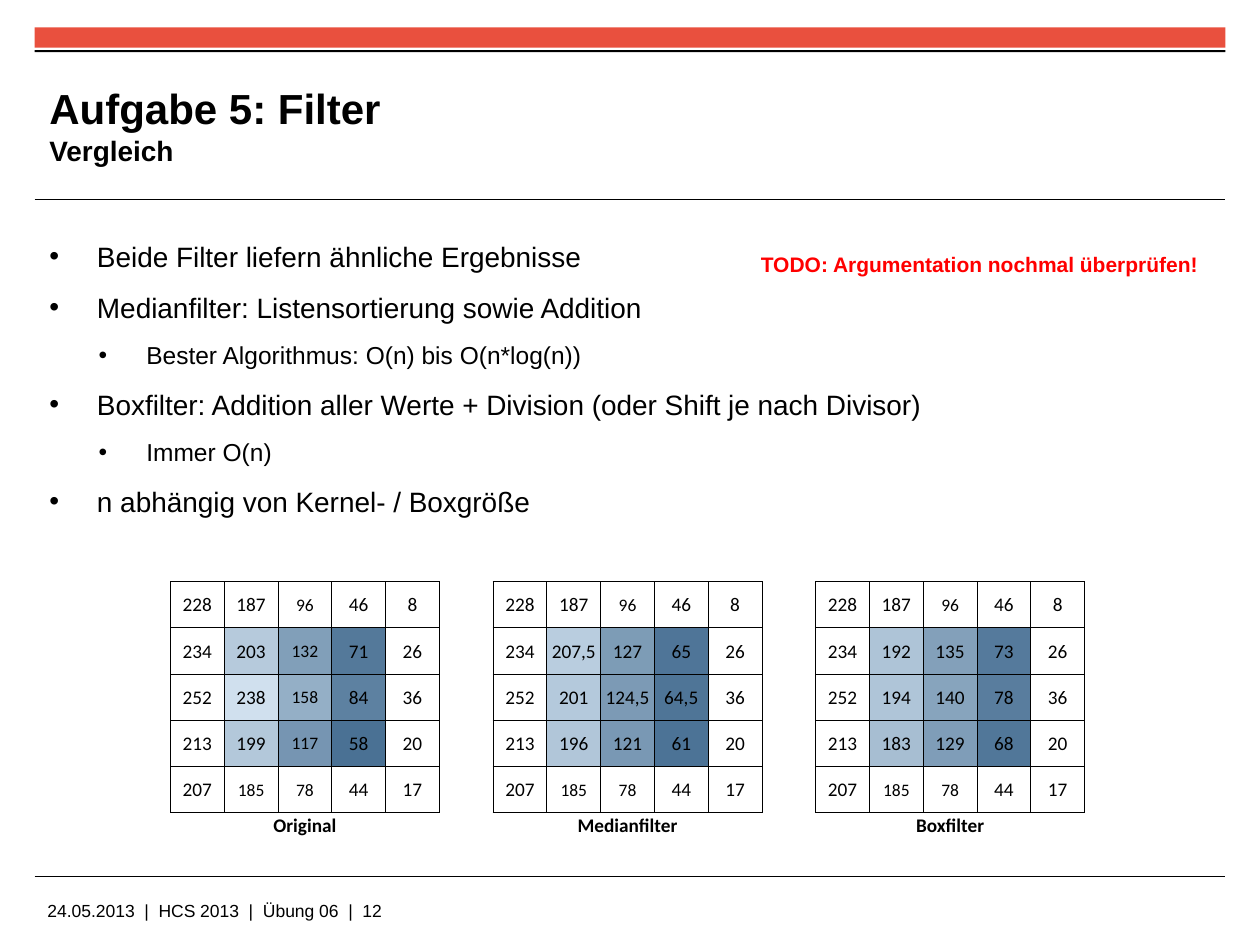
from pptx import Presentation
from pptx.dml.color import RGBColor
from pptx.enum.shapes import MSO_CONNECTOR, MSO_SHAPE
from pptx.enum.text import MSO_ANCHOR, MSO_AUTO_SIZE, PP_ALIGN
from pptx.oxml.ns import qn
from pptx.util import Pt
from lxml import etree

BLACK = RGBColor(0, 0, 0)
RED = RGBColor(0xFF, 0, 0)
CORAL = RGBColor(0xE9, 0x50, 0x3E)
DARK_BLUE = RGBColor(0x4A, 0x71, 0x94)
LIGHT_BLUE = RGBColor(0xD0, 0xE0, 0xEE)
DARK_VALUE, LIGHT_VALUE = 58, 238
MIDDLE = MSO_ANCHOR.MIDDLE
LEFT, CENTER = PP_ALIGN.LEFT, PP_ALIGN.CENTER
STRAIGHT = MSO_CONNECTOR.STRAIGHT
RECTANGLE = MSO_SHAPE.RECTANGLE
NO_AUTOFIT = MSO_AUTO_SIZE.NONE
PLAIN_TABLE = "{2D5ABB26-0587-4C30-8999-92F81FD0307C}"


def style(font, size, color=BLACK, bold=False, name="Arial"):
    font.size = Pt(size)
    font.name = name
    font.bold = bold
    font.color.rgb = color


def add_label(left, top, width, height, text, size, color=BLACK, bold=False):
    box = page.shapes.add_textbox(Pt(left), Pt(top), Pt(width), Pt(height))
    frame = box.text_frame
    frame.word_wrap = True
    frame.vertical_anchor = MIDDLE
    frame.text = text
    style(frame.paragraphs[0].font, size, color, bold)


deck = Presentation()
deck.slide_width, deck.slide_height = Pt(720), Pt(540)
page = deck.slides.add_slide(deck.slide_layouts[1])

for top, height, color in [(15.6, 11.6, CORAL), (28.6, 1.2, BLACK)]:
    bar = page.shapes.add_shape(RECTANGLE, Pt(19.8), Pt(top), Pt(680.4), Pt(height))
    bar.shadow.inherit = False
    bar.fill.solid()
    bar.fill.fore_color.rgb = color
    bar.line.fill.background()

for height in [114.2, 500.6]:
    rule = page.shapes.add_connector(STRAIGHT, Pt(19.8), Pt(height), Pt(700.2), Pt(height))
    rule.line.color.rgb = BLACK
    rule.line.width = Pt(0.6)
    etree.SubElement(rule._element.spPr, qn("a:effectLst"))

add_label(20, 511.5, 567, 18, "24.05.2013  |  HCS 2013  |  Übung 06  |  12", 10)

title = page.shapes.title
title.left, title.top, title.width, title.height = Pt(28.2), Pt(38.2), Pt(522.6), Pt(66.2)
frame = title.text_frame
frame.auto_size = NO_AUTOFIT
frame.vertical_anchor = MIDDLE
frame.margin_left = frame.margin_right = frame.margin_top = frame.margin_bottom = 0
para = frame.paragraphs[0]
para.alignment = LEFT
heading = para.add_run()
heading.text = "Aufgabe 5: Filter"
style(heading.font, 24, bold=True)
para.add_line_break()
subheading = para.add_run()
subheading.text = "Vergleich"
style(subheading.font, 16, bold=True)

bullets = [
    (0, "Beide Filter liefern ähnliche Ergebnisse"),
    (0, "Medianfilter: Listensortierung sowie Addition"),
    (1, "Bester Algorithmus: O(n) bis O(n*log(n))"),
    (0, "Boxfilter: Addition aller Werte + Division (oder Shift je nach Divisor)"),
    (1, "Immer O(n)"),
    (0, "n abhängig von Kernel- / Boxgröße"),
]
body = page.placeholders[1]
body.left, body.top, body.width, body.height = Pt(28.2), Pt(127.4), Pt(666), Pt(188)
frame = body.text_frame
frame.auto_size = NO_AUTOFIT
frame.margin_left = frame.margin_right = 0
frame.text = "\n".join(text for level, text in bullets)
for para, (level, text) in zip(frame.paragraphs, bullets):
    para.level = level
    properties = para._p.get_or_add_pPr()
    properties.set("marL", str(Pt(27.2 + 28.2 * level)))
    properties.set("indent", str(Pt(-27.2)))
    etree.SubElement(properties, qn("a:buChar"), char="•")
    para.line_spacing = 1.3
    para.space_before = Pt(2)
    para.space_after = Pt(2.3)
    style(para.font, 14 if level else 16)

captions = ["Original", "Medianfilter", "Boxfilter"]
border_values = [
    ["228", "187", "96", "46", "8"],
    ["234", "26"],
    ["252", "36"],
    ["213", "20"],
    ["207", "185", "78", "44", "17"],
]
inner_values = [
    [["203", "132", "71"], ["238", "158", "84"], ["199", "117", "58"]],
    [["207,5", "127", "65"], ["201", "124,5", "64,5"], ["196", "121", "61"]],
    [["192", "135", "73"], ["194", "140", "78"], ["183", "129", "68"]],
]

table = page.shapes.add_table(6, 17, Pt(97.4), Pt(332.4), Pt(522.75), Pt(145.7)).table
table.first_row = table.horz_banding = False
table._tbl.tblPr.find(qn("a:tableStyleId")).text = PLAIN_TABLE
for column in table.columns:
    column.width = Pt(30.75)
for index, row in enumerate(table.rows):
    row.height = Pt(26.4 if index < 5 else 13.7)

for row in range(6):
    for column in range(17):
        block, offset = divmod(column, 6)
        cell = table.cell(row, column)
        cell.margin_left = cell.margin_right = cell.margin_top = Pt(0.7)
        cell.margin_bottom = 0
        cell.vertical_anchor = MIDDLE
        para = cell.text_frame.paragraphs[0]
        inner = 1 <= row <= 3 and 1 <= offset <= 3
        text = ""
        if row == 5:
            if offset == 0:
                cell.merge(table.cell(row, column + 4))
                text = captions[block]
        elif inner:
            text = inner_values[block][row - 1][offset - 1]
        elif offset < 5:
            text = border_values[row][offset if row in (0, 4) else offset // 4]

        small = offset == 2 and (block == 0 or row in (0, 4)) or (row, offset) == (4, 1)
        if text:
            para.text = text
            para.alignment = CENTER
            style(para.font, 10 if small and row < 5 else 11, bold=row == 5, name="Calibri")
        else:
            etree.SubElement(para._p, qn("a:endParaRPr"), sz="1000")

        if row < 5 and offset < 5:
            for side in ["a:lnL", "a:lnR", "a:lnT", "a:lnB"]:
                line = etree.SubElement(cell._tc.get_or_add_tcPr(), qn(side), w=str(Pt(0.5)))
                fill = etree.SubElement(line, qn("a:solidFill"))
                etree.SubElement(fill, qn("a:srgbClr"), val=str(BLACK))
        if inner:
            share = (float(text.replace(",", ".")) - DARK_VALUE) / (LIGHT_VALUE - DARK_VALUE)
            shade = [round(dark + share * (light - dark)) for dark, light in zip(DARK_BLUE, LIGHT_BLUE)]
            cell.fill.solid()
            cell.fill.fore_color.rgb = RGBColor(*shade)
        else:
            cell.fill.background()

add_label(427.7, 139.9, 266.4, 22, "TODO: Argumentation nochmal überprüfen!", 12, RED, True)

deck.save("out.pptx")
